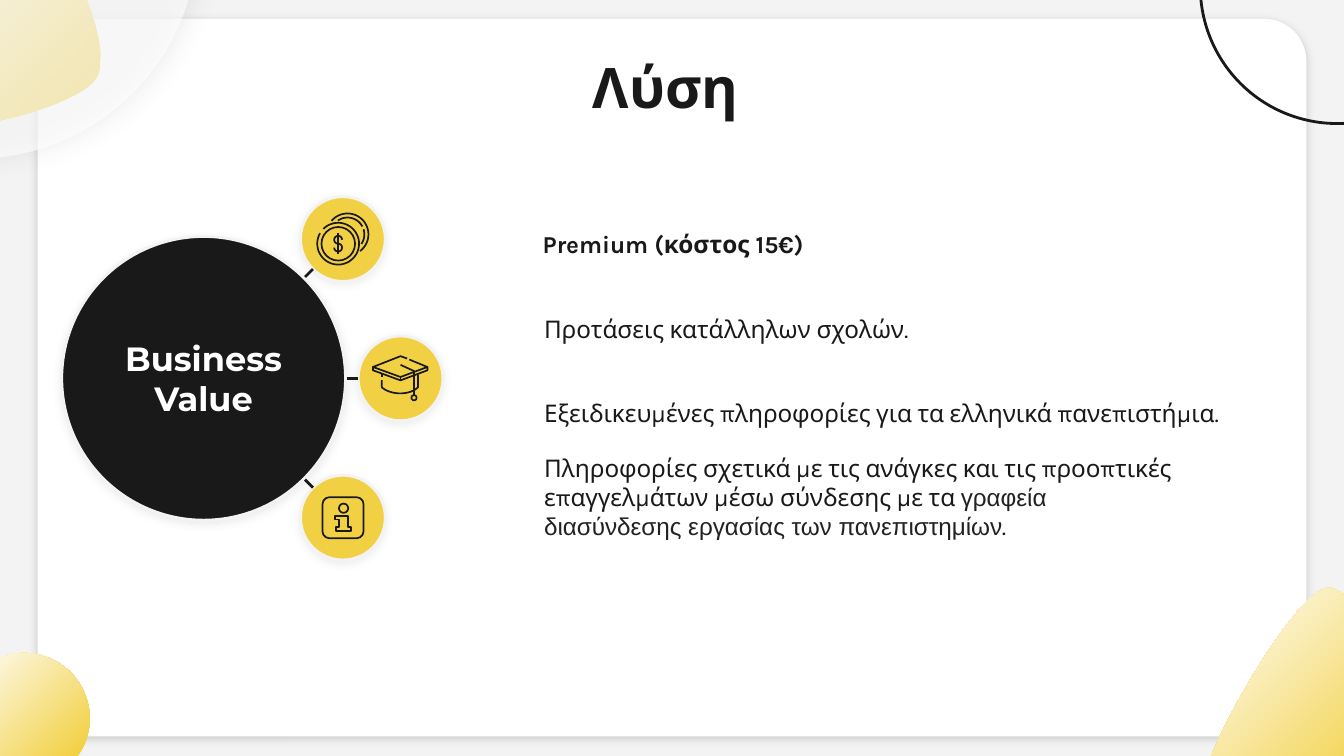
from math import cos, radians, sin

from lxml.etree import SubElement
from pptx import Presentation
from pptx.dml.color import RGBColor
from pptx.enum.shapes import MSO_CONNECTOR as Connector, MSO_SHAPE as Shape
from pptx.enum.text import MSO_ANCHOR as Anchor, MSO_AUTO_SIZE as AutoSize, PP_ALIGN as Align
from pptx.oxml.ns import qn
from pptx.util import Pt

INK, YELLOW, WHITE, PAPER, SHADE = "191919", "F2D044", "FFFFFF", "F3F3F3", "595959"


def rgb(hex_color):
    return RGBColor.from_string(hex_color)


def paint(shape, fill=None, line=None, width=1.5):
    shape.shadow.inherit = False
    if fill == "gradient":  # yellow at lower right, white at upper left
        shape.fill.gradient()
        shape.fill.gradient_angle = 135
        for stop, color, position in zip(shape.fill.gradient_stops, (YELLOW, WHITE), (0.15, 1)):
            stop.color.rgb = rgb(color)
            stop.position = position
    elif fill:
        shape.fill.solid()
        shape.fill.fore_color.rgb = rgb(fill)
    else:
        shape.fill.background()
    if line:
        shape.line.color.rgb = rgb(line)
        shape.line.width = Pt(width)
    else:
        shape.line.fill.background()
    return shape


def add_part(slide, preset, left, top, width, height, *colors):
    return paint(slide.shapes.add_shape(preset, Pt(left), Pt(top), Pt(width), Pt(height)), *colors)


def add_circle(slide, x, y, radius, *colors):
    return add_part(slide, Shape.OVAL, x - radius, y - radius, 2 * radius, 2 * radius, *colors)


def set_alpha(color_element, percent):
    SubElement(color_element, qn("a:alpha"), val=str(percent * 1000))


def cast_shadow(shape, color, alpha, blur, distance, angle):
    effects = shape._element.spPr.find(qn("a:effectLst"))
    outer = SubElement(effects, qn("a:outerShdw"), blurRad=str(Pt(blur)), dist=str(Pt(distance)),
                       dir=str(angle * 60000), algn="bl", rotWithShape="0")
    set_alpha(SubElement(outer, qn("a:srgbClr"), val=color), alpha)


def outline(slide, origin, points, closed=False):
    (x, y), *rest = [(Pt(px), Pt(py)) for px, py in points]
    builder = slide.shapes.build_freeform(x, y)
    builder.add_line_segments(rest, close=closed)
    return builder.convert_to_shape(Pt(origin[0]), Pt(origin[1]))


def stroke(slide, origin, points, closed=False):
    return paint(outline(slide, origin, points, closed), None, INK, 0.9)


def bezier(start, control1, control2, end, steps=24):
    curve = []
    for step in range(steps + 1):
        t = step / steps
        weights = (1 - t) ** 3, 3 * t * (1 - t) ** 2, 3 * t * t * (1 - t), t ** 3
        corners = start, control1, control2, end
        curve.append(tuple(sum(w * c[axis] for w, c in zip(weights, corners)) for axis in (0, 1)))
    return curve


def arc(x, y, radius, start, end, steps=48):
    angles = [radians(start + (end - start) * step / steps) for step in range(steps + 1)]
    return [(x + radius * cos(a), y + radius * sin(a)) for a in angles]


def style_run(run, size, font="Karla", color=INK, bold=False):
    run.font.size, run.font.name, run.font.bold = Pt(size), font, bold
    run.font.color.rgb = rgb(color)


def set_frame(frame, anchor=Anchor.MIDDLE):
    frame.word_wrap = True
    frame.auto_size = AutoSize.NONE
    frame.vertical_anchor = anchor
    frame.margin_left = frame.margin_right = frame.margin_top = frame.margin_bottom = Pt(7.2)


def add_blob(slide, left, top):
    points = (bezier((0, 115.2), (7.9, 130.3), (100.8, 111.6), (111.6, 92.9))
              + bezier((111.6, 92.9), (123.1, 73.4), (85, -3.6), (67, 0))
              + bezier((67, 0), (48.2, 3.6), (-7.2, 100.1), (0, 115.2)))
    paint(outline(slide, (left, top), points, True), "gradient")


def add_backdrop(slide, width, height):
    card = add_part(slide, Shape.ROUNDED_RECTANGLE, 20.2, 10.1, width - 40.3, height - 20.5, WHITE)
    card.adjustments[0] = 0.059
    cast_shadow(card, "000000", 16, 4.5, 1.5, 90)
    # Corner ornaments
    add_blob(slide, -59.8, -51.1)
    veil = add_circle(slide, -13.3, -34.2, 119.2, WHITE)
    set_alpha(veil.fill._xPr.find(qn("a:solidFill"))[0], 61)
    cast_shadow(veil, SHADE, 18, 14.6, 2.2, 332)
    add_blob(slide, width - 76.4, height - 90)
    add_circle(slide, width - 3.6, -7.2, 73.4, None, INK)
    add_circle(slide, 12.9, height - 20, 35.2, "gradient")


def add_title(slide, left, top, width, height):
    title = slide.shapes.title
    title.left, title.top, title.width, title.height = Pt(left), Pt(top), Pt(width), Pt(height)
    title.text_frame.text = "Λύση "
    set_frame(title.text_frame, Anchor.TOP)
    title.text_frame.paragraphs[0].alignment = Align.CENTER
    style_run(title.text_frame.paragraphs[0].runs[0], 30, bold=True)


def add_benefit(slide, left, top, width, height, pieces, bold=False):
    benefit = slide.shapes.add_textbox(Pt(left), Pt(top), Pt(width), Pt(height)).text_frame
    set_frame(benefit)
    for words, font, color in pieces:
        run = benefit.paragraphs[0].add_run()
        run.text = words
        style_run(run, 13, font, color, bold)


def add_benefits(slide, left, top):
    add_benefit(slide, left - 0.7, top, 160.6, 25.9, [("Premium (κόστος 15€)", "Karla", INK)], True)
    benefits = [
        (355.7, [("Προτάσεις κατάλληλων σχολών.", "Karla", INK)]),
        (378.7, [("Εξειδικευμένες πληροφορίες για τα ελληνικά πανεπιστήμια.", "Karla", INK)]),
        (355.7, [("Πληροφορίες σχετικά με τις ανάγκες και τις προοπτικές επαγγελμάτων "
                  "μέσω σύνδεσης με τα ", "Karla", INK),
                 ("γραφεία διασύνδεσης εργασίας των πανεπιστημίων", "Arial", "222222"),
                 (".", "Karla", INK)]),
    ]
    for row, (width, pieces) in enumerate(benefits):
        add_benefit(slide, left, top + 38.9 + 45 * row, width, 39.6, pieces)


def draw_coins(slide, x, y):
    front = x - 2.5, y + 2.5
    back = x + 2.5, y - 2.5
    stroke(slide, front, arc(0, 0, 11.2, 225, 570))
    add_circle(slide, *front, 9, None, INK, 0.9)
    for radius, start, end in ((11.2, 220, 413), (9, 235, 332), (9, 342, 395)):
        stroke(slide, back, arc(0, 0, radius, start, end))
    # Dollar sign
    stroke(slide, front, arc(0, -2.1, 2.1, 0, -270) + arc(0, 2.1, 2.1, -90, 180))
    stroke(slide, front, [(0, -5.5), (0, 5.5)])


def draw_cap(slide, x, y):
    left, right, front = (-14.8, -6.1), (14.4, -6.1), (0, -0.7)
    board = [left, front, right, (14.4, -4.3), (0, 1.1), (-14.8, -4.3)]
    stroke(slide, (x, y), board, True)
    crown = [(-10.1, 1)] + bezier((-10.1, 4.8), (-5, 9.2), (5, 9.2), (9.4, 4.8)) + [(9.4, -2)]
    lines = [[left, (0, -11.9), (3.5, -10.6)], [(4.7, -10.1), right], [front, (0, 1.1)],
             [(-10.1, -2.3), (-10.1, -0.7)], crown, [(0, -7.2), (7.2, -3.9), (7.2, 9)]]
    for line in lines:
        stroke(slide, (x, y), line)
    add_circle(slide, x + 7.2, y + 10.4, 1.4, None, INK, 0.9)


def draw_info(slide, x, y):
    frame = add_part(slide, Shape.ROUNDED_RECTANGLE, x - 10.9, y - 10.9, 22, 22, None, INK, 0.9)
    frame.adjustments[0] = 0.17
    add_circle(slide, x + 0.4, y - 5, 2.5, None, INK, 0.9)
    stem = [(-4.3, -0.7), (2.9, -0.7), (2.9, 5), (4.3, 5), (4.3, 7.2), (-3.6, 7.2),
            (-3.6, 5), (-2.2, 5), (-2.2, 1.1), (-4.3, 1.1)]
    stroke(slide, (x, y), stem, True)


def add_value_hub(slide, left, top, size):
    radius, badge_radius, reach = size / 2, 22.7, 105.5
    x, y = left + radius, top + radius
    hub = add_circle(slide, x, y, radius, INK, PAPER)
    cast_shadow(hub, SHADE, 11, 4.5, 1.5, 90)
    hub.text_frame.text = "Business Value"
    set_frame(hub.text_frame)
    hub.text_frame.paragraphs[0].alignment = Align.CENTER
    style_run(hub.text_frame.paragraphs[0].runs[0], 18, "Montserrat", WHITE, True)
    # Badges around the hub, each with its link and icon
    for angle, draw_icon in ((-45, draw_coins), (0, draw_cap), (45, draw_info)):
        dx, dy = cos(radians(angle)), sin(radians(angle))
        badge_x, badge_y = x + reach * dx, y + reach * dy
        badge = add_circle(slide, badge_x, badge_y, badge_radius, YELLOW, PAPER)
        cast_shadow(badge, SHADE, 9, 4.5, 1.5, 100)
        ends = [Pt(c + r * d) for r in (reach - badge_radius, radius + 0.8)
                for c, d in ((x, dx), (y, dy))]
        link = slide.shapes.add_connector(Connector.STRAIGHT, *ends)
        link.line.color.rgb, link.line.width = rgb(INK), Pt(1.5)
        SubElement(link._element.spPr, qn("a:effectLst"))
        draw_icon(slide, badge_x, badge_y)


def main():
    deck = Presentation()
    deck.slide_width, deck.slide_height = Pt(720), Pt(405)
    slide = deck.slides.add_slide(deck.slide_layouts[5])
    slide.background.fill.solid()
    slide.background.fill.fore_color.rgb = rgb(PAPER)
    add_backdrop(slide, 720, 405)
    # The title lies above the backdrop
    slide.shapes._spTree.append(slide.shapes.title._element)
    add_title(slide, 56.9, 20.9, 607, 45.4)
    add_benefits(slide, 284.4, 117.4)
    add_value_hub(slide, 33.1, 126.7, 152)
    deck.save("out.pptx")


if __name__ == "__main__":
    main()
